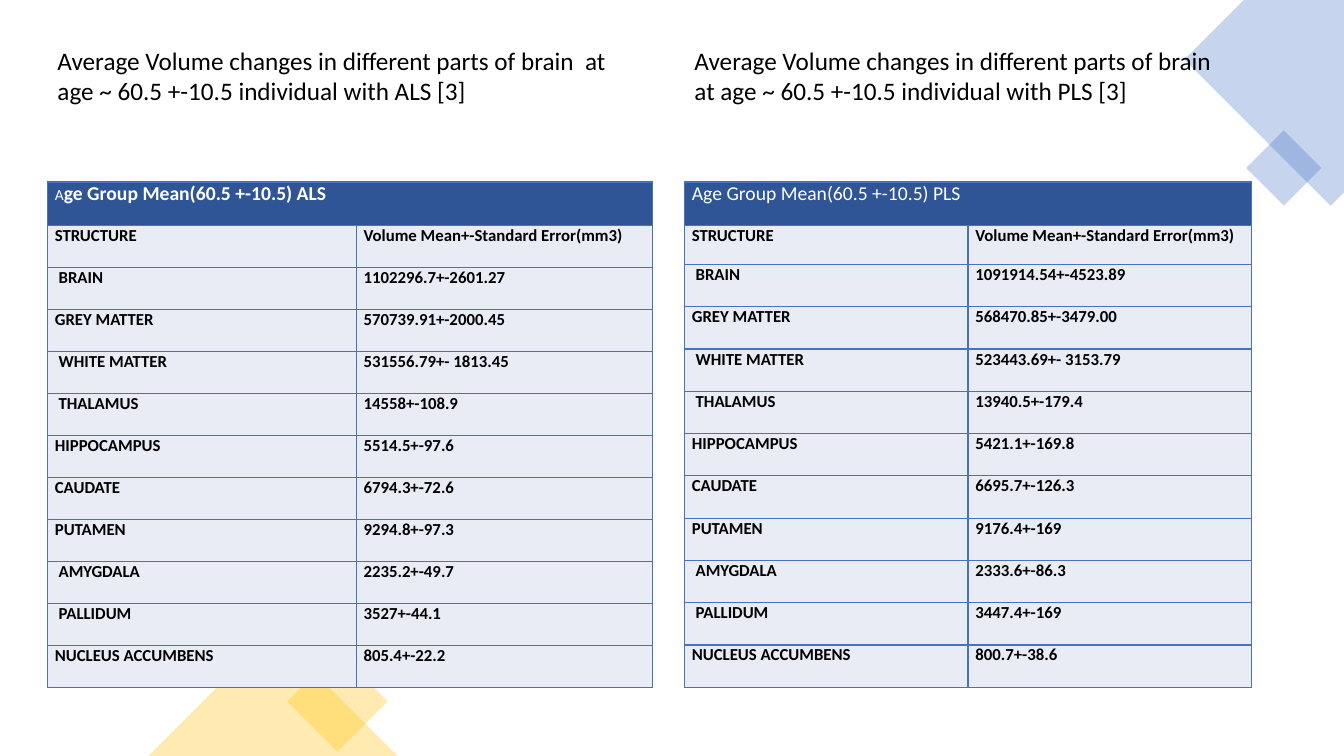
import dataclasses

import lxml.etree
import pptx
import pptx.dml.color
import pptx.enum.shapes
import pptx.enum.text
import pptx.oxml.ns
import pptx.util

Pt = pptx.util.Pt
Shape = pptx.enum.shapes.MSO_SHAPE
qn = pptx.oxml.ns.qn


@dataclasses.dataclass(frozen=True)
class Theme:
    font: str = "Calibri"
    blue: str = "4472C4"
    gold: str = "FFC000"
    header: str = "2F5597"
    band: str = "E9EBF5"
    light: str = "FFFFFF"
    dark: str = "000000"
    heading_size: float = 18
    header_size: float = 14
    initial_size: float = 11
    body_size: float = 12
    border: float = 1
    opacity: int = 30


@dataclasses.dataclass(frozen=True)
class Box:
    left: float
    top: float
    width: float
    height: float

    def lengths(self):
        return Pt(self.left), Pt(self.top), Pt(self.width), Pt(self.height)


THEME = Theme()
STRUCTURES = ["STRUCTURE", " BRAIN", "GREY MATTER", " WHITE MATTER", " THALAMUS", "HIPPOCAMPUS",
              "CAUDATE", "PUTAMEN", " AMYGDALA", " PALLIDUM", "NUCLEUS ACCUMBENS"]
VOLUME_LABEL = "Volume Mean+-Standard Error(mm3)"
ALS_VOLUMES = [VOLUME_LABEL, "1102296.7+-2601.27", "570739.91+-2000.45", "531556.79+- 1813.45",
               "14558+-108.9", "5514.5+-97.6", "6794.3+-72.6", "9294.8+-97.3", "2235.2+-49.7",
               "3527+-44.1", "805.4+-22.2"]
PLS_VOLUMES = [VOLUME_LABEL, "1091914.54+-4523.89", "568470.85+-3479.00", "523443.69+- 3153.79",
               "13940.5+-179.4", "5421.1+-169.8", "6695.7+-126.3", "9176.4+-169", "2333.6+-86.3",
               "3447.4+-169", "800.7+-38.6"]
HEADER_HEIGHT = 31


def rgb(value):
    return pptx.dml.color.RGBColor.from_string(value)


def style_span(span, size, color, bold=False):
    span.font.name = THEME.font
    span.font.size = Pt(size)
    span.font.bold = bold
    span.font.color.rgb = rgb(color)


def tint(shape, color):
    shape.shadow.inherit = False
    shape.line.fill.background()
    shape.fill.solid()
    shape.fill.fore_color.rgb = rgb(color)
    color_element = shape._element.spPr.find(qn("a:solidFill"))[0]
    alpha = lxml.etree.SubElement(color_element, qn("a:alpha"))
    alpha.set("val", str(THEME.opacity * 1000))


def add_diamond(page, box, color):
    diamond = page.shapes.add_shape(Shape.RECTANGLE, *box.lengths())
    diamond.rotation = 45
    tint(diamond, color)


def add_top_corner(page, box):
    right, bottom = box.left + box.width, box.top + box.height
    outline = page.shapes.build_freeform(Pt(right), Pt(box.top))
    outline.add_line_segments([
        (Pt(box.left + 42.5), Pt(box.top)),
        (Pt(box.left), Pt(box.top + 42.5)),
        (Pt(right - 9.5), Pt(bottom)),
        (Pt(right), Pt(bottom - 9.5)),
    ], close=True)
    tint(outline.convert_to_shape(), THEME.blue)
    add_diamond(page, Box(box.left + 52, box.top + 101, 38, 38), THEME.blue)


def add_bottom_corner(page, box):
    add_diamond(page, Box(box.left + 109.5, box.top + 24.5, 51, 51), THEME.gold)
    triangle = page.shapes.add_shape(Shape.ISOSCELES_TRIANGLE, *box.lengths())
    tint(triangle, THEME.gold)


def add_heading(page, box, text):
    heading = page.shapes.add_textbox(*box.lengths())
    frame = heading.text_frame
    frame.word_wrap = True
    frame.auto_size = pptx.enum.text.MSO_AUTO_SIZE.SHAPE_TO_FIT_TEXT
    frame.text = text
    style_span(frame.paragraphs[0].runs[0], THEME.heading_size, THEME.dark)


def style_cell(cell, fill):
    cell.margin_left = cell.margin_right = Pt(5.2)
    cell.margin_top = cell.margin_bottom = 0
    cell.fill.solid()
    cell.fill.fore_color.rgb = rgb(fill)
    properties = cell._tc.get_or_add_tcPr()
    for position, side in enumerate(("a:lnL", "a:lnR", "a:lnT", "a:lnB")):
        line = lxml.etree.Element(qn(side), w=str(Pt(THEME.border)))
        solid = lxml.etree.SubElement(line, qn("a:solidFill"))
        lxml.etree.SubElement(solid, qn("a:srgbClr"), val=THEME.blue)
        properties.insert(position, line)


def add_volume_table(page, box, header_spans, volumes, first_column, label_height):
    row_count = len(volumes) + 1
    table = page.shapes.add_table(row_count, 2, *box.lengths()).table
    table.first_row = table.horz_banding = False
    table.columns[0].width = Pt(first_column)
    table.columns[1].width = Pt(box.width - first_column)
    value_height = (box.height - HEADER_HEIGHT - label_height) / (row_count - 2)
    heights = [HEADER_HEIGHT, label_height] + [value_height] * (row_count - 2)
    for row, height in zip(table.rows, heights):
        row.height = Pt(height)

    for cell in table.rows[0].cells:
        style_cell(cell, THEME.header)
    table.cell(0, 0).merge(table.cell(0, 1))
    para = table.cell(0, 0).text_frame.paragraphs[0]
    for text, size, bold in header_spans:
        span = para.add_run()
        span.text = text
        style_span(span, size, THEME.light, bold)

    for row_index, texts in enumerate(zip(STRUCTURES, volumes), start=1):
        for column_index, text in enumerate(texts):
            cell = table.cell(row_index, column_index)
            style_cell(cell, THEME.band)
            cell.text_frame.text = text
            style_span(cell.text_frame.paragraphs[0].runs[0], THEME.body_size, THEME.dark, True)


def add_comparison(page, box):
    left_width, right_width = 432, 405
    right_edge = box.left + box.width - right_width
    table_top, table_height = box.top + 101, box.height - 101
    add_volume_table(page, Box(right_edge, table_top, right_width, table_height),
                     [("Age Group Mean(60.5 +-10.5) PLS", THEME.header_size, False)],
                     PLS_VOLUMES, right_width / 2, 28)
    add_volume_table(page, Box(box.left, table_top, left_width, table_height),
                     [("A", THEME.initial_size, False),
                      ("ge Group Mean(60.5 +-10.5) ALS", THEME.header_size, True)],
                     ALS_VOLUMES, 220.5, 30)
    for left, width, height, disease in ((box.left, left_width, 73, "ALS"),
                                         (right_edge, right_width, 51, "PLS")):
        add_heading(page, Box(left, box.top, width, height),
                    "Average Volume changes in different parts of brain  at age "
                    f"~ 60.5 +-10.5 individual with {disease} [3]")


def main():
    deck = pptx.Presentation()
    deck.slide_width, deck.slide_height = Pt(960), Pt(540)
    page = deck.slides.add_slide(deck.slide_layouts[6])
    add_top_corner(page, Box(846, 0, 114, 147))
    add_bottom_corner(page, Box(106, 451, 178, 89))
    add_comparison(page, Box(34, 29, 860, 462))
    deck.save("out.pptx")


if __name__ == "__main__":
    main()
